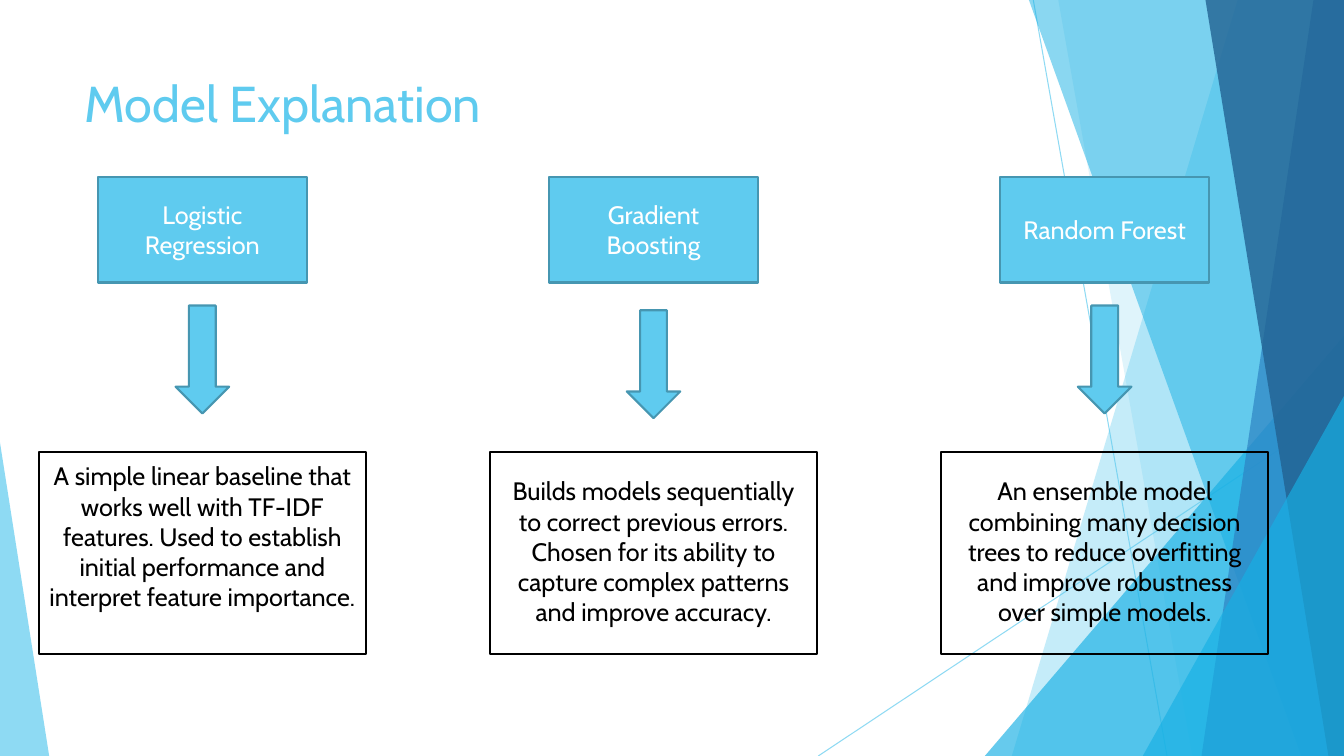
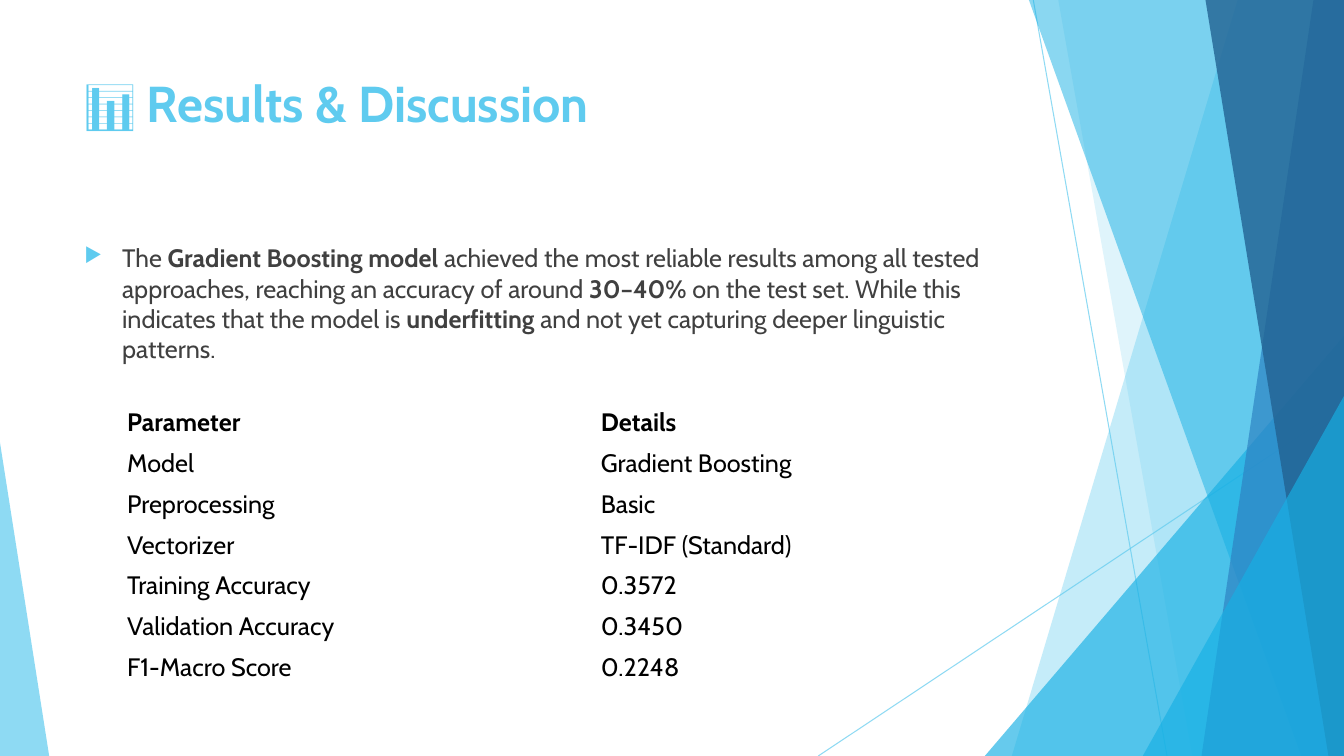
"""Build two slides on the models tried and the results they gave."""
from dataclasses import dataclass

from lxml.etree import SubElement
from pptx import Presentation
from pptx.dml.color import RGBColor
from pptx.enum.shapes import MSO_CONNECTOR, MSO_SHAPE as Preset
from pptx.enum.text import MSO_ANCHOR as Anchor, MSO_AUTO_SIZE as AutoSize, PP_ALIGN as Align
from pptx.oxml.ns import qn
from pptx.util import Cm, Pt


@dataclass(frozen=True)
class Theme:
    """Colours, type sizes and line widths of the deck."""

    font: str = "Cabin"
    title_size: int = 36
    text_size: int = 18
    outline: float = 1.5
    hairline: float = 0.75
    sky: str = "5FCBEF"
    cyan: str = "17B0E4"
    blue: str = "2E83C3"
    navy: str = "226292"
    edge: str = "4696B1"
    white: str = "FFFFFF"
    black: str = "000000"
    grey: str = "404040"


THEME = Theme()
WIDTH, HEIGHT = 33.87, 19.05
NO_GRID_STYLE = "{2D5ABB26-0587-4C30-8999-92F81FD0307C}"

RAYS = [((26.04, 0), (29.41, HEIGHT)), ((WIDTH, 10.24), (20.62, HEIGHT))]
BANDS = [
    ("strip", 31.19, 25.5, THEME.sky, 36),
    ("strip", 26.67, 30.05, THEME.sky, 20),
    ("wedge", 24.82, 8.46, THEME.cyan, 66),
    ("strip", 25.93, 32.79, THEME.cyan, 50),
    ("strip", 33.1, 30.28, THEME.blue, 70),
    ("strip", 30.38, 33.48, THEME.navy, 80),
    ("wedge", 28.8, 9.98, THEME.cyan, 66),
]
LEFT_WEDGE_WIDTH, LEFT_WEDGE_TOP = 1.24, 11.15

MODELS_TITLE = "Model Explanation"
MODELS = [
    ("Logistic Regression", 7.7, 0.23,
     "A simple linear baseline that works well with TF-IDF features. "
     "Used to establish initial performance and interpret feature importance."),
    ("Gradient Boosting", 7.82, 0.61,
     "Builds models sequentially to correct previous errors. "
     "Chosen for its ability to capture complex patterns and improve accuracy."),
    ("Random Forest", 7.7, 0.61,
     "An ensemble model combining many decision trees to reduce overfitting "
     "and improve robustness over simple models."),
]
FIRST_CENTRE, COLUMN_PITCH = 5.1, 11.37

RESULTS_TITLE = "📊 Results & Discussion"
FINDING = [
    ("The ", False),
    ("Gradient Boosting model", True),
    (" achieved the most reliable results among all tested approaches, "
     "reaching an accuracy of around ", False),
    ("30–40%", True),
    (" on the test set. While this indicates that the model is ", False),
    ("underfitting", True),
    (" and not yet capturing deeper linguistic patterns.", False),
]
PARAMETERS = [
    ("Parameter", "Details"),
    ("Model", "Gradient Boosting"),
    ("Preprocessing", "Basic"),
    ("Vectorizer", "TF-IDF (Standard)"),
    ("Training Accuracy", "0.3572"),
    ("Validation Accuracy", "0.3450"),
    ("F1-Macro Score", "0.2248"),
]


def rgb(colour):
    """Turn a hex string into a colour."""
    return RGBColor.from_string(colour)


def box(left, top, width, height):
    """Give a frame in centimetres as lengths."""
    return Cm(left), Cm(top), Cm(width), Cm(height)


def set_font(paragraph, colour, size=THEME.text_size, bold=False):
    """Set the font of a whole paragraph."""
    font = paragraph.font
    font.name, font.size, font.bold = THEME.font, Pt(size), bold
    font.color.rgb = rgb(colour)


def set_alpha(part, percent):
    """Make the first colour of a part translucent."""
    colour = next(part.element.iter(qn("a:srgbClr")))
    SubElement(colour, qn("a:alpha"), val=str(percent * 1000))


def paint(shape, fill=None, line=None):
    """Give a shape its fill and outline, and no shadow."""
    shape.shadow.inherit = False
    if fill:
        shape.fill.solid()
        shape.fill.fore_color.rgb = rgb(fill)
    else:
        shape.fill.background()
    if line:
        shape.line.color.rgb = rgb(line)
        shape.line.width = Pt(THEME.outline)
    else:
        shape.line.fill.background()


def add_ray(shapes, start, end):
    """Draw one thin background line."""
    ray = shapes.add_connector(MSO_CONNECTOR.STRAIGHT, *map(Cm, start + end))
    ray.line.color.rgb = rgb(THEME.sky)
    ray.line.width = Pt(THEME.hairline)
    SubElement(ray.element.spPr, qn("a:effectLst"))
    set_alpha(ray, 70)
    return ray


def add_strip(shapes, top_left, bottom_left):
    """Draw a full-height band that ends at the right edge."""
    outline = shapes.build_freeform(Cm(top_left), 0)
    corners = [(WIDTH, 0), (WIDTH, HEIGHT), (bottom_left, HEIGHT)]
    outline.add_line_segments([(Cm(x), Cm(y)) for x, y in corners], close=True)
    return outline.convert_to_shape()


def add_wedge(shapes, left, top, width, apex):
    """Draw a right-angled triangle that stands on the bottom edge."""
    wedge = shapes.add_shape(Preset.ISOSCELES_TRIANGLE, *box(left, top, width, HEIGHT - top))
    wedge.adjustments[0] = apex
    return wedge


def add_backdrop(layout, slide):
    """Draw the backdrop on a slide and move it to the layout."""
    shapes = slide.shapes
    parts = [add_ray(shapes, *ends) for ends in RAYS]
    for kind, left, other, colour, alpha in BANDS:
        if kind == "strip":
            band = add_strip(shapes, left, other)
        else:
            band = add_wedge(shapes, left, other, WIDTH - left, 1)
        paint(band, colour)
        set_alpha(band, alpha)
        parts.append(band)
    left_wedge = add_wedge(shapes, 0, LEFT_WEDGE_TOP, LEFT_WEDGE_WIDTH, 0)
    paint(left_wedge, THEME.sky)
    set_alpha(left_wedge, 70)
    for part in parts + [left_wedge]:
        layout.shapes.element.append(part.element)


def set_title(slide, text, bold=False):
    """Place and format the slide title."""
    title = slide.shapes.title
    title.left, title.top, title.width, title.height = box(1.88, 1.7, 23.88, 3.66)
    frame = title.text_frame
    frame.text = text
    frame.auto_size = AutoSize.NONE
    frame.vertical_anchor = Anchor.TOP
    heading = frame.paragraphs[0]
    heading.alignment = Align.LEFT
    set_font(heading, THEME.sky, THEME.title_size, bold)


def write_centred(shape, text, colour):
    """Put centred, wrapped text into a shape."""
    frame = shape.text_frame
    frame.text = text
    frame.word_wrap = True
    frame.paragraphs[0].alignment = Align.CENTER
    set_font(frame.paragraphs[0], colour)
    return frame


def add_model(slide, centre, name, arrow_top, text_inset, description):
    """Draw one model column: name, arrow and description."""
    def add_part(preset, top, width, height):
        return slide.shapes.add_shape(preset, *box(centre - width / 2, top, width, height))

    header = add_part(Preset.RECTANGLE, 4.45, 5.26, 2.67)
    paint(header, THEME.sky, THEME.edge)
    write_centred(header, name, THEME.white).vertical_anchor = Anchor.MIDDLE

    paint(add_part(Preset.DOWN_ARROW, arrow_top, 1.35, 2.72), THEME.sky, THEME.edge)

    card = add_part(Preset.RECTANGLE, 11.38, 8.23, 5.11)
    paint(card, line=THEME.black)
    frame = write_centred(card, description, THEME.black)
    frame.vertical_anchor = Anchor.TOP
    frame.margin_top = Cm(text_inset)


def add_finding(slide):
    """Write the bulleted finding with its bold phrases."""
    frame = slide.shapes.add_textbox(*box(1.88, 5.99, 23.88, 3.6)).text_frame
    frame.word_wrap = True
    finding = frame.paragraphs[0]
    properties = finding._p.get_or_add_pPr()
    properties.set("marL", str(Cm(0.95)))
    properties.set("indent", str(-Cm(0.95)))
    bullet_colour = SubElement(properties, qn("a:buClr"))
    SubElement(bullet_colour, qn("a:srgbClr"), val=THEME.sky)
    SubElement(properties, qn("a:buSzPct"), val="80000")
    SubElement(properties, qn("a:buChar"), char="▶")
    set_font(finding, THEME.grey)
    for words, bold in FINDING:
        phrase = finding.add_run()
        phrase.text = words
        if bold:
            phrase.font.bold = True


def add_parameters(slide):
    """Add the plain parameter table."""
    holder = slide.shapes.add_table(
        len(PARAMETERS), 2, *box(2.95, 10.13, 23.88, 1.03 * len(PARAMETERS)))
    next(holder.element.iter(qn("a:tableStyleId"))).text = NO_GRID_STYLE
    table = holder.table
    table.horz_banding = False
    for row, entries in enumerate(PARAMETERS):
        for column, entry in enumerate(entries):
            cell = table.cell(row, column)
            cell.text = entry
            cell.fill.background()
            cell.vertical_anchor = Anchor.MIDDLE
            set_font(cell.text_frame.paragraphs[0], THEME.black, bold=row == 0)


def main():
    """Build and save the deck."""
    deck = Presentation()
    deck.slide_width, deck.slide_height = Cm(WIDTH), Cm(HEIGHT)
    title_only = deck.slide_layouts[5]

    models = deck.slides.add_slide(title_only)
    add_backdrop(title_only, models)
    set_title(models, MODELS_TITLE)
    for index, model in enumerate(MODELS):
        add_model(models, FIRST_CENTRE + index * COLUMN_PITCH, *model)

    results = deck.slides.add_slide(title_only)
    set_title(results, RESULTS_TITLE, bold=True)
    add_finding(results)
    add_parameters(results)

    deck.save("out.pptx")


if __name__ == "__main__":
    main()
